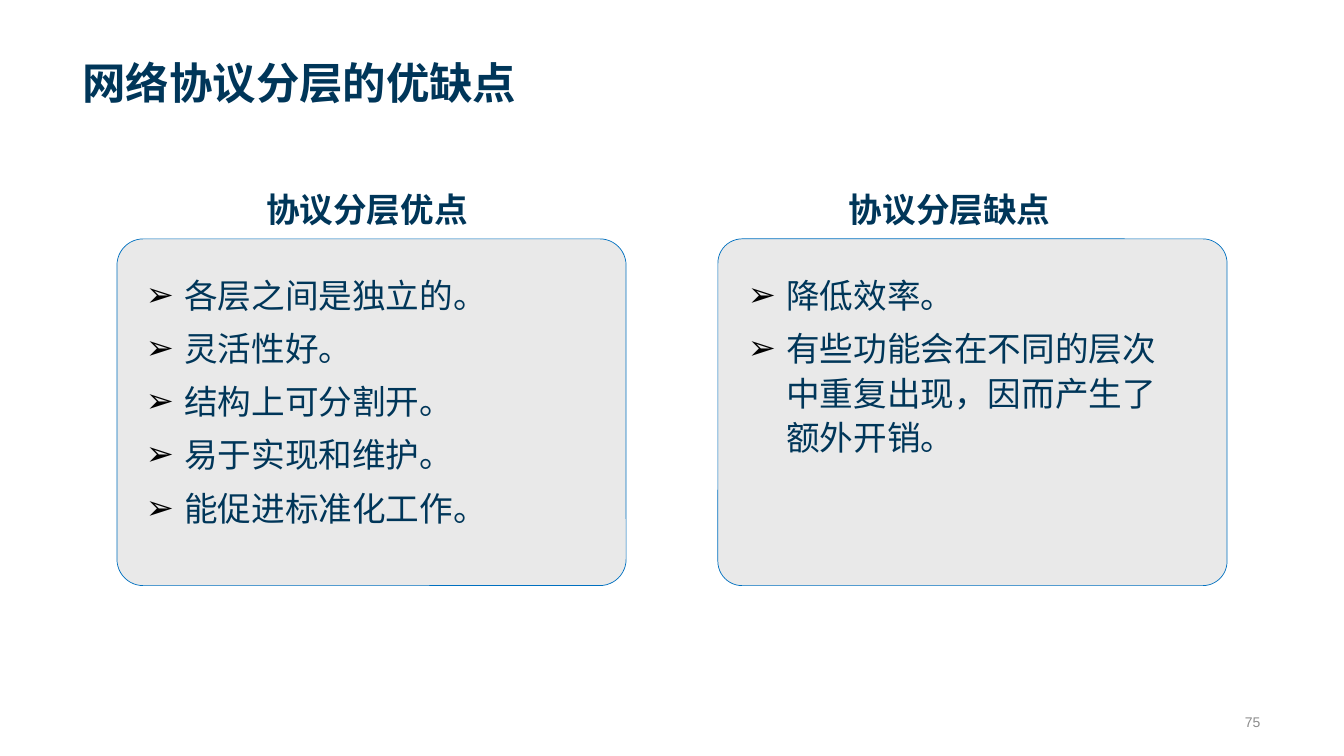
from lxml import etree
from pptx import Presentation
from pptx import util as u
from pptx.dml.color import RGBColor
from pptx.enum import shapes, text
from pptx.oxml.ns import qn

PX = 9144  # EMU, 100 px to the inch
COLORS = {"navy": "003659", "panel": "D8D8D8", "border": "0070C0",
          "bullet": "000000", "number": "8C8C8C"}
CJK = "Noto Sans CJK SC"


def rgb(name):
    return RGBColor.from_string(COLORS[name])


class Deck:
    def __init__(self, width, height):
        self.prs = Presentation()
        self.prs.slide_width, self.prs.slide_height = width * PX, height * PX
        self.s = self.prs.slides.add_slide(self.prs.slide_layouts[6])

    def panel(self, x, y, w, h, corner):
        sp = self.s.shapes.add_shape(shapes.MSO_SHAPE.ROUNDED_RECTANGLE,
                                     x * PX, y * PX, w * PX, h * PX)
        sp.adjustments[0] = corner
        sp.shadow.inherit = False
        sp.fill.solid()
        sp.fill.fore_color.rgb = rgb("panel")
        color = sp.fill._xPr.find(qn("a:solidFill"))[0]
        etree.SubElement(color, qn("a:alpha"), val="56000")
        sp.line.color.rgb = rgb("border")
        sp.line.width = u.Pt(0.5)

    def text(self, x, y, w, h, lines, size, color="navy", font=CJK, bold=False,
             anchor=text.MSO_ANCHOR.TOP, align=text.PP_ALIGN.LEFT, wrap=True):
        tf = self.s.shapes.add_textbox(x * PX, y * PX, w * PX, h * PX).text_frame
        tf.word_wrap, tf.vertical_anchor = wrap, anchor
        tf.text = "\n".join(lines)
        for p in tf.paragraphs:
            p.alignment = align
            for r in p.runs:
                r.font.size, r.font.bold, r.font.name = u.Pt(size), bold, font
                r.font.color.rgb = rgb(color)
                etree.SubElement(r.font._element, qn("a:ea"), typeface=font)
        return tf

    def bullets(self, x, y, w, h, lines):
        tf = self.text(x, y, w, h, lines, 24)
        for i, p in enumerate(tf.paragraphs):
            p.line_spacing = u.Pt(32)
            p.space_before = u.Pt(6 if i else 0)
            pPr = p._p.get_or_add_pPr()
            pPr.set("marL", str(38 * PX))
            pPr.set("indent", str(-38 * PX))
            color = etree.SubElement(pPr, qn("a:buClr"))
            etree.SubElement(color, qn("a:srgbClr"), val=COLORS["bullet"])
            etree.SubElement(pPr, qn("a:buFont"), typeface="Arial")
            etree.SubElement(pPr, qn("a:buChar"), char="➢")


def main():
    deck = Deck(1333, 750)
    deck.text(72, 14, 1188, 98, ["网络协议分层的优缺点"], 31, bold=True,
              anchor=text.MSO_ANCHOR.BOTTOM)

    # panel left, corner, heading left, heading, list left, width, height, items
    columns = [
        (116, 0.076, 254, "协议分层优点", 135, 420, 265,
         ["各层之间是独立的。", "灵活性好。", "结构上可分割开。",
          "易于实现和维护。", "能促进标准化工作。"]),
        (712, 0.07, 832, "协议分层缺点", 732, 445, 195,
         ["降低效率。", "有些功能会在不同的层次中重复出现，因而产生了额外开销。"]),
    ]
    for panel_x, corner, head_x, heading, list_x, list_w, list_h, items in columns:
        deck.panel(panel_x, 237, 505, 344, corner)
        deck.text(head_x, 183, 222, 50, [heading], 24, bold=True, wrap=False)
        deck.bullets(list_x, 263, list_w, list_h, items)

    deck.text(1142, 701, 118, 30, ["75"], 10, "number", "Arial",
              anchor=text.MSO_ANCHOR.MIDDLE, align=text.PP_ALIGN.RIGHT)
    deck.prs.save("out.pptx")


if __name__ == "__main__":
    main()
